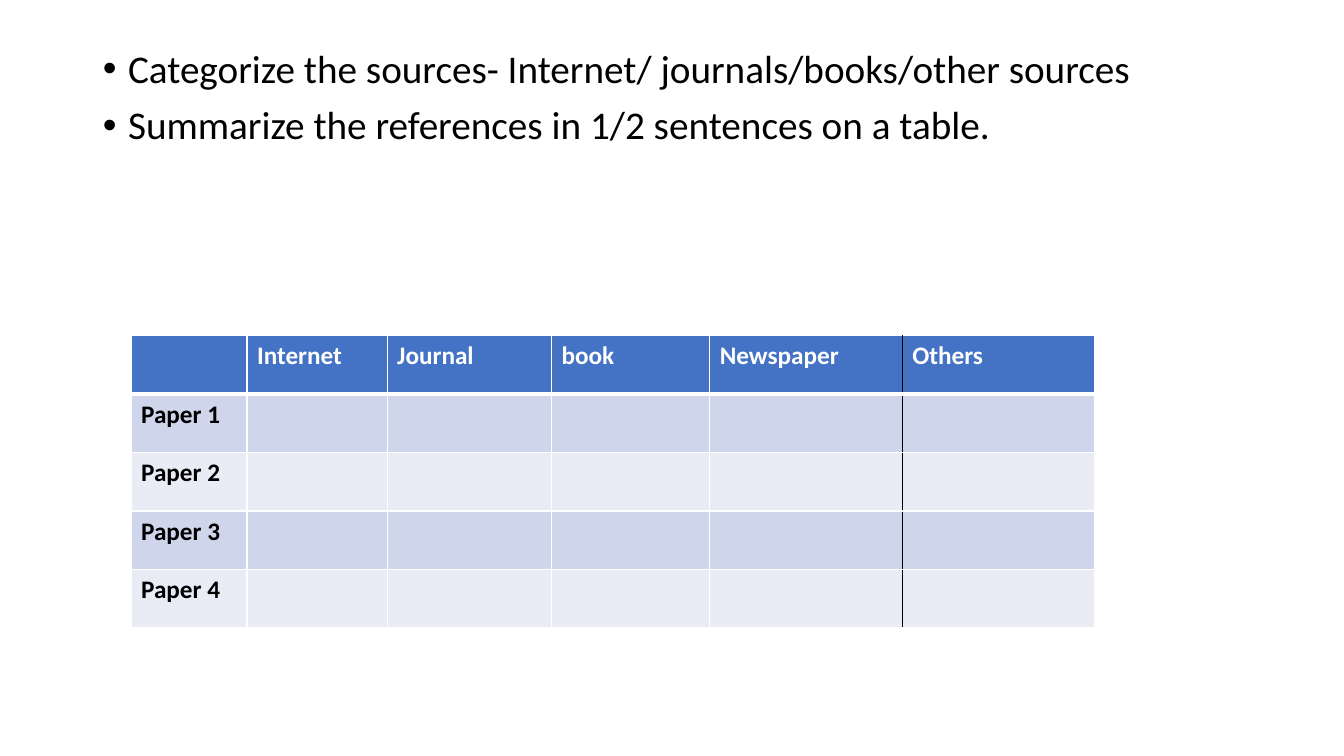
from lxml.etree import SubElement
from pptx import Presentation
from pptx.dml.color import RGBColor
from pptx.enum.text import MSO_ANCHOR, PP_ALIGN
from pptx.oxml.ns import qn
from pptx.util import Inches, Pt

SLIDE_W, SLIDE_H = 13.33, 7.5
FONT = "Calibri"
BLACK, WHITE = "000000", "FFFFFF"
HEADER_FILL, BAND_FILLS = "4472C4", ("CFD5EA", "E9EBF5")

INSTRUCTIONS = (
    "Categorize the sources- Internet/ journals/books/other sources",
    "Summarize the references in 1/2 sentences on a table.",
)
SOURCE_TYPES = ("", "Internet", "Journal", "book", "Newspaper", "Others")
COLUMN_WIDTHS = (1.15, 1.39, 1.63, 1.57, 1.91, 1.91)
PAPERS = [f"Paper {number}" for number in range(1, 5)]
ROW_HEIGHT = 0.58


def rgb(hex_color):
    return RGBColor.from_string(hex_color)


def style_font(paragraph, size, color, bold=False):
    font = paragraph.font
    font.name, font.size, font.bold = FONT, Pt(size), bold
    font.color.rgb = rgb(color)


def place(shape, left, top, width, height):
    shape.left, shape.top = Inches(left), Inches(top)
    shape.width, shape.height = Inches(width), Inches(height)


def set_bullet(paragraph, indent):
    properties = paragraph._p.get_or_add_pPr()
    properties.set("marL", str(Inches(indent)))
    properties.set("indent", str(-Inches(indent)))
    SubElement(properties, qn("a:buFont"), typeface="Arial")
    SubElement(properties, qn("a:buChar"), char="•")


def fill_instructions(body):
    place(body, 0.92, 0.44, 11.5, 6.38)
    frame = body.text_frame
    frame.text = "\n".join(INSTRUCTIONS)
    frame.word_wrap = True
    frame.vertical_anchor = MSO_ANCHOR.TOP
    for instruction in frame.paragraphs:
        instruction.alignment = PP_ALIGN.JUSTIFY
        instruction.line_spacing = 0.9
        instruction.space_before = Pt(10)
        set_bullet(instruction, 0.25)
        style_font(instruction, 28, BLACK)


def add_border(cell, side, color, width):
    line = SubElement(cell._tc.get_or_add_tcPr(), qn(f"a:ln{side}"), w=str(Pt(width)))
    solid = SubElement(line, qn("a:solidFill"))
    SubElement(solid, qn("a:srgbClr"), val=color)


def style_cell(cell, row, column):
    # A black rule separates the last column; a thick one closes the header
    last = len(SOURCE_TYPES) - 1
    add_border(cell, "L", BLACK if column == last else WHITE, 1)
    add_border(cell, "R", BLACK if column == last - 1 else WHITE, 1)
    add_border(cell, "T", WHITE, 3 if row == 1 else 1)
    add_border(cell, "B", WHITE, 3 if row == 0 else 1)
    cell.fill.solid()
    cell.fill.fore_color.rgb = rgb(BAND_FILLS[(row - 1) % 2] if row else HEADER_FILL)
    style_font(cell.text_frame.paragraphs[0], 18, BLACK if row else WHITE,
               bold=row == 0 or column == 0)


def add_reference_table(slide):
    row_count = len(PAPERS) + 1
    references = slide.shapes.add_table(
        row_count, len(SOURCE_TYPES), Inches(1.3), Inches(3.33),
        Inches(sum(COLUMN_WIDTHS)), Inches(ROW_HEIGHT * row_count)).table
    for column, width in zip(references.columns, COLUMN_WIDTHS):
        column.width = Inches(width)
    for row in references.rows:
        row.height = Inches(ROW_HEIGHT)

    # Labels along the top and down the left side
    for column, source_type in enumerate(SOURCE_TYPES):
        references.cell(0, column).text = source_type
    for row, paper in enumerate(PAPERS, start=1):
        references.cell(row, 0).text = paper

    for row in range(row_count):
        for column in range(len(SOURCE_TYPES)):
            style_cell(references.cell(row, column), row, column)


def main():
    presentation = Presentation()
    presentation.slide_width = Inches(SLIDE_W)
    presentation.slide_height = Inches(SLIDE_H)
    slide = presentation.slides.add_slide(presentation.slide_layouts[1])

    # The slide has no title
    unused_title = slide.shapes.title.element
    unused_title.getparent().remove(unused_title)

    fill_instructions(slide.placeholders[1])
    add_reference_table(slide)
    presentation.save("out.pptx")


if __name__ == "__main__":
    main()
